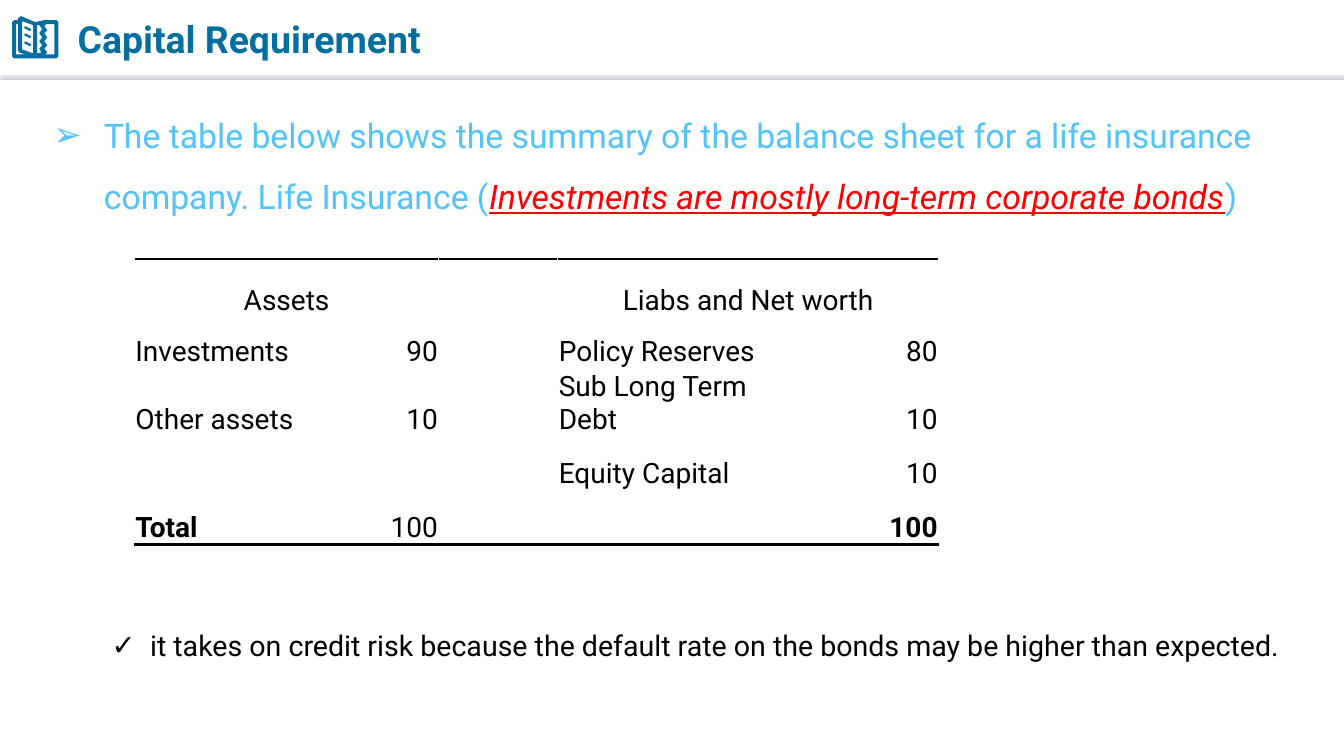
from lxml import etree
from pptx import Presentation
from pptx.dml.color import RGBColor
from pptx.enum.shapes import MSO_CONNECTOR
from pptx.enum.text import MSO_ANCHOR, MSO_AUTO_SIZE, PP_ALIGN
from pptx.oxml.ns import qn
from pptx.util import Pt

LEFT, CENTER, RIGHT = PP_ALIGN.LEFT, PP_ALIGN.CENTER, PP_ALIGN.RIGHT
MIDDLE, TOP, BOTTOM = MSO_ANCHOR.MIDDLE, MSO_ANCHOR.TOP, MSO_ANCHOR.BOTTOM
NO_AUTOFIT = MSO_AUTO_SIZE.NONE
STRAIGHT = MSO_CONNECTOR.STRAIGHT

BLUE = RGBColor(0x05, 0x6E, 0xA0)
SKY = RGBColor(0x51, 0xC3, 0xF9)
RED = RGBColor(0xFF, 0x00, 0x00)
BLACK = RGBColor(0x00, 0x00, 0x00)
WHITE = RGBColor(0xFF, 0xFF, 0xFF)
SHADOW = RGBColor(0xBC, 0xB4, 0xC4)

FONT = "Roboto"
TITLE_FORMAT = {"size": Pt(26.7), "bold": True}
LEAD_FORMAT = {"size": Pt(24.1)}
STRESS_FORMAT = {"size": Pt(24.1), "italic": True, "underline": True}
NOTE_FORMAT = {"size": Pt(20.4)}
CELL_FORMAT = {"size": Pt(20)}
TOTAL_FORMAT = {"size": Pt(20), "bold": True}
CELL_LAYOUT = {
    "margin_left": Pt(0.7), "margin_right": Pt(0.7), "margin_top": Pt(0.7),
    "margin_bottom": Pt(0), "vertical_anchor": BOTTOM,
}

COLUMN_WIDTHS = [132.5, 85, 85, 177, 95]
ROW_HEIGHTS = [42, 36.5, 48.5, 38.5, 38.5]
BALANCE_SHEET = [
    ["Assets", "", "", "Liabs and Net worth", ""],
    ["Investments", "90", "", "Policy Reserves", "80"],
    ["Other assets", "10", "", "Sub Long Term Debt", "10"],
    ["", "", "", "Equity Capital", "10"],
    ["Total", "100", "", "", "100"],
]
BOLD_CELLS = {(4, 0), (4, 4)}

BOOK_UNIT = Pt(0.72)
BOOK_COVER = [(21, 16), (35, 22), (44, 20), (56, 20), (58, 22), (58, 56), (56, 58),
              (14, 58), (12, 56), (12, 22), (14, 20), (18, 20), (18, 18)]
BOOK_PAGES = [
    [(16, 24), (16, 54), (25, 54), (19, 52), (18, 50), (18, 24)],
    [(22, 21), (22, 49), (33, 53), (33, 25)],
    [(37, 25), (39, 25), (42, 29), (39, 33), (42, 37), (39, 41), (42, 45),
     (39, 48), (41, 52), (37, 53)],
    [(46, 24), (54, 24), (54, 54), (45, 54), (47, 52), (44, 48), (47, 45),
     (44, 41), (47, 37), (44, 33), (47, 30), (44, 26)],
]
BOOK_TEXT_LINES = [[(25, y), (31, y + 3), (30, y + 5), (24, y + 2)] for y in (26, 33, 41)]


def apply_format(target, values):
    """Set each named attribute of the target."""
    for name, value in values.items():
        setattr(target, name, value)


def place(shape, left, top, width, height):
    """Move and size a shape, in points."""
    apply_format(shape, {"left": Pt(left), "top": Pt(top),
                         "width": Pt(width), "height": Pt(height)})


def add_run(paragraph, text, color, values):
    """Append a formatted run to a paragraph."""
    run = paragraph.add_run()
    run.text = text
    apply_format(run.font, {"name": FONT, **values})
    run.font.color.rgb = color


def format_bullet(paragraph, character, margin, hanging, space_before):
    """Give a paragraph its bullet, indent and spacing."""
    properties = paragraph._p.get_or_add_pPr()
    properties.set("marL", str(Pt(margin)))
    properties.set("indent", str(-Pt(hanging)))
    etree.SubElement(properties, qn("a:buChar"), char=character)
    apply_format(paragraph, {"line_spacing": 1.5, "space_before": Pt(space_before),
                             "alignment": LEFT})


def add_header_line(slide, width):
    """Draw the white header line with its soft shadow."""
    line = slide.shapes.add_connector(STRAIGHT, Pt(0), Pt(52.6), width, Pt(52.6))
    line.line.color.rgb = WHITE
    line.line.width = Pt(0.75)
    effects = etree.SubElement(line._element.spPr, qn("a:effectLst"))
    shadow = etree.SubElement(effects, qn("a:outerShdw"), blurRad=str(Pt(1)),
                              dist=str(Pt(3)), dir="5400000", algn="t", rotWithShape="0")
    etree.SubElement(shadow, qn("a:srgbClr"), val=str(SHADOW))


def add_book_icon(slide):
    """Draw the open book beside the title."""
    builder = slide.shapes.build_freeform(*BOOK_COVER[0], scale=float(BOOK_UNIT))
    builder.add_line_segments(BOOK_COVER[1:])
    for outline in BOOK_PAGES + BOOK_TEXT_LINES:
        builder.move_to(*outline[0])
        builder.add_line_segments(outline[1:])
    book = builder.convert_to_shape()
    book.shadow.inherit = False
    book.fill.solid()
    book.fill.fore_color.rgb = BLUE
    book.line.fill.background()


def fill_title(title):
    """Write the slide title."""
    place(title, 48.2, 5, 530, 45.4)
    apply_format(title.text_frame, {"vertical_anchor": MIDDLE, "auto_size": NO_AUTOFIT})
    paragraph = title.text_frame.paragraphs[0]
    paragraph.alignment = LEFT
    add_run(paragraph, "Capital Requirement", BLUE, TITLE_FORMAT)


def fill_body(body):
    """Write the lead paragraph and the note below the table."""
    place(body, 31, 64.1, 898, 445.7)
    frame = body.text_frame
    apply_format(frame, {"vertical_anchor": TOP, "auto_size": NO_AUTOFIT})
    lead = frame.paragraphs[0]
    format_bullet(lead, "➢", 36, 36, 0)
    add_run(lead, "The table below shows the summary of the balance sheet for a life "
            "insurance company. Life Insurance (", SKY, LEAD_FORMAT)
    add_run(lead, "Investments are mostly long-term corporate bonds", RED, STRESS_FORMAT)
    add_run(lead, ")", SKY, LEAD_FORMAT)
    note = frame.add_paragraph()
    note.level = 1
    format_bullet(note, "✓", 69, 27.4, 282)
    add_run(note, "it takes on credit risk because the default rate on the bonds may be "
            "higher than expected.", BLACK, NOTE_FORMAT)


def add_border(cell, side):
    """Draw a black rule on one side of a cell."""
    border = etree.Element(qn("a:" + side), w=str(Pt(2)))
    fill = etree.SubElement(border, qn("a:solidFill"))
    etree.SubElement(fill, qn("a:srgbClr"), val=str(BLACK))
    cell._tc.get_or_add_tcPr().insert(0, border)


def fill_cell(cell, text, alignment, values):
    """Write and format one table cell."""
    apply_format(cell, CELL_LAYOUT)
    cell.fill.solid()
    cell.fill.fore_color.rgb = WHITE
    if text:
        paragraph = cell.text_frame.paragraphs[0]
        paragraph.alignment = alignment
        add_run(paragraph, text, BLACK, values)


def add_balance_sheet(slide):
    """Add the ruled balance sheet table."""
    table = slide.shapes.add_table(
        len(ROW_HEIGHTS), len(COLUMN_WIDTHS), Pt(96), Pt(185),
        Pt(sum(COLUMN_WIDTHS)), Pt(sum(ROW_HEIGHTS))).table
    apply_format(table, {"first_row": False, "horz_banding": False})
    for column, width in zip(table.columns, COLUMN_WIDTHS):
        column.width = Pt(width)
    for row, height in zip(table.rows, ROW_HEIGHTS):
        row.height = Pt(height)
    for row, texts in enumerate(BALANCE_SHEET):
        for column, text in enumerate(texts):
            alignment = CENTER if row == 0 else RIGHT if text.isdigit() else LEFT
            values = TOTAL_FORMAT if (row, column) in BOLD_CELLS else CELL_FORMAT
            fill_cell(table.cell(row, column), text, alignment, values)
    for column in range(len(COLUMN_WIDTHS)):
        add_border(table.cell(0, column), "lnT")
        add_border(table.cell(len(ROW_HEIGHTS) - 1, column), "lnB")
    for column in (0, 3):
        table.cell(0, column).merge(table.cell(0, column + 1))


def main():
    """Build and save the slide."""
    presentation = Presentation()
    presentation.slide_width = Pt(960)
    presentation.slide_height = Pt(540)
    slide = presentation.slides.add_slide(presentation.slide_layouts[1])
    add_header_line(slide, presentation.slide_width)
    add_book_icon(slide)
    fill_title(slide.shapes.title)
    fill_body(slide.placeholders[1])
    add_balance_sheet(slide)
    presentation.save("out.pptx")


if __name__ == "__main__":
    main()
